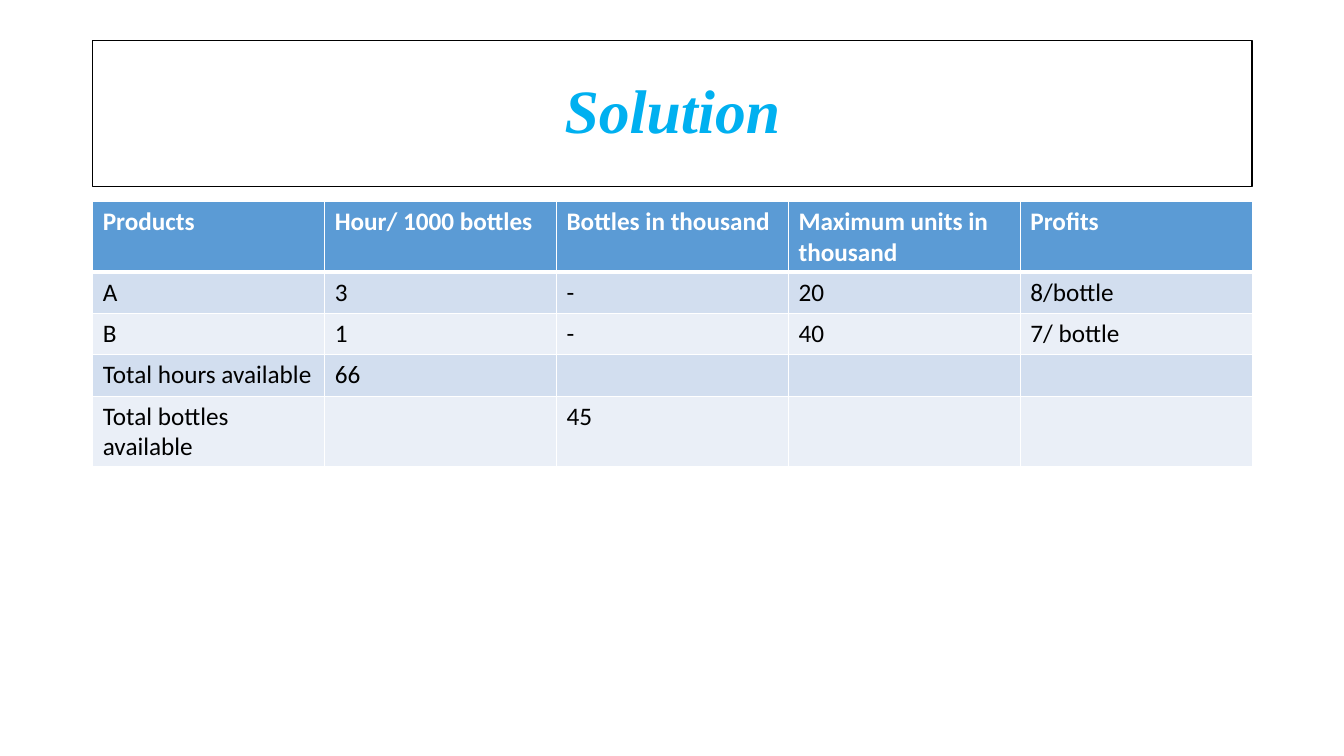
"""Build the Solution slide: a framed title above a table of bottle production."""
from lxml.etree import SubElement
from pptx import Presentation
from pptx.dml.color import RGBColor
from pptx.enum.text import MSO_ANCHOR, PP_ALIGN
from pptx.oxml.ns import qn
from pptx.util import Inches, Pt

TITLE = "Solution"
ROWS = [
    ("Products", "Hour/ 1000 bottles", "Bottles in thousand", "Maximum units in thousand", "Profits"),
    ("A", "3", "-", "20", "8/bottle"),
    ("B", "1", "-", "40", "7/ bottle"),
    ("Total hours available", "66", "", "", ""),
    ("Total bottles available", "", "45", "", ""),
]

BLACK = RGBColor(0x00, 0x00, 0x00)
WHITE = RGBColor(0xFF, 0xFF, 0xFF)
TITLE_BLUE = RGBColor(0x00, 0xB0, 0xF0)
HEADER_BLUE = RGBColor(0x5B, 0x9B, 0xD5)
BANDS = [RGBColor(0xEA, 0xEF, 0xF7), RGBColor(0xD2, 0xDE, 0xEF)]

LEFT, WIDTH = Inches(0.92), Inches(11.5)
ROW_HEIGHT = Inches(0.41)


def style_text(paragraph, font_name, size, color, bold, italic=False):
    """Format every run of a paragraph."""
    for run in paragraph.runs:
        font = run.font
        font.name, font.size = font_name, Pt(size)
        font.bold, font.italic = bold, italic
        font.color.rgb = color


def add_borders(cell, widths):
    """Draw white cell borders with the given widths in points."""
    properties = cell._tc.get_or_add_tcPr()
    for side, width in widths.items():
        line = SubElement(properties, qn(f"a:ln{side}"), w=str(Pt(width)))
        fill = SubElement(line, qn("a:solidFill"))
        SubElement(fill, qn("a:srgbClr"), val=str(WHITE))


def add_title(slide):
    """Add the framed title."""
    title = slide.shapes.add_textbox(LEFT, Inches(0.4), WIDTH, Inches(1.45))
    title.line.color.rgb = BLACK
    title.line.width = Pt(1)
    frame = title.text_frame
    frame.word_wrap = True
    frame.vertical_anchor = MSO_ANCHOR.MIDDLE
    frame.text = TITLE
    paragraph = frame.paragraphs[0]
    paragraph.alignment = PP_ALIGN.CENTER
    paragraph.line_spacing = 0.9
    style_text(paragraph, "Times New Roman", 44, TITLE_BLUE, True, True)


def add_production_table(slide):
    """Add the table with a header row and banded body rows."""
    table = slide.shapes.add_table(
        len(ROWS), len(ROWS[0]), LEFT, Inches(2), WIDTH, ROW_HEIGHT * len(ROWS)
    ).table
    for row_index, values in enumerate(ROWS):
        is_header = row_index == 0
        widths = {"L": 1, "R": 1, "T": 3 if row_index == 1 else 1, "B": 3 if is_header else 1}
        for column_index, value in enumerate(values):
            cell = table.cell(row_index, column_index)
            add_borders(cell, widths)
            cell.fill.solid()
            cell.fill.fore_color.rgb = HEADER_BLUE if is_header else BANDS[row_index % 2]
            cell.text_frame.text = value
            color = WHITE if is_header else BLACK
            style_text(cell.text_frame.paragraphs[0], "Calibri", 18, color, is_header)


presentation = Presentation()
presentation.slide_width, presentation.slide_height = Inches(13.33), Inches(7.5)
solution_slide = presentation.slides.add_slide(presentation.slide_layouts[6])
add_title(solution_slide)
add_production_table(solution_slide)
presentation.save("out.pptx")
